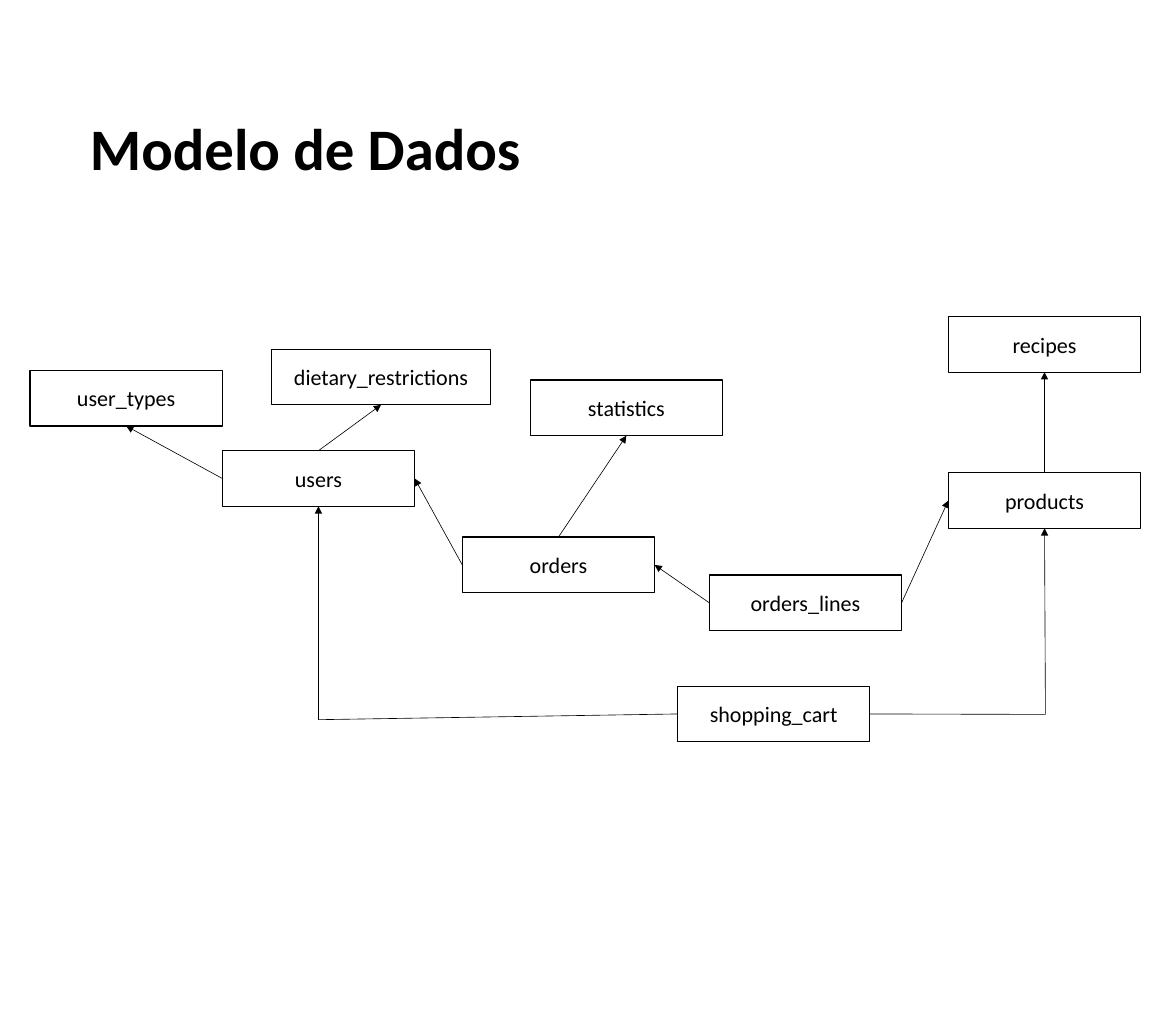
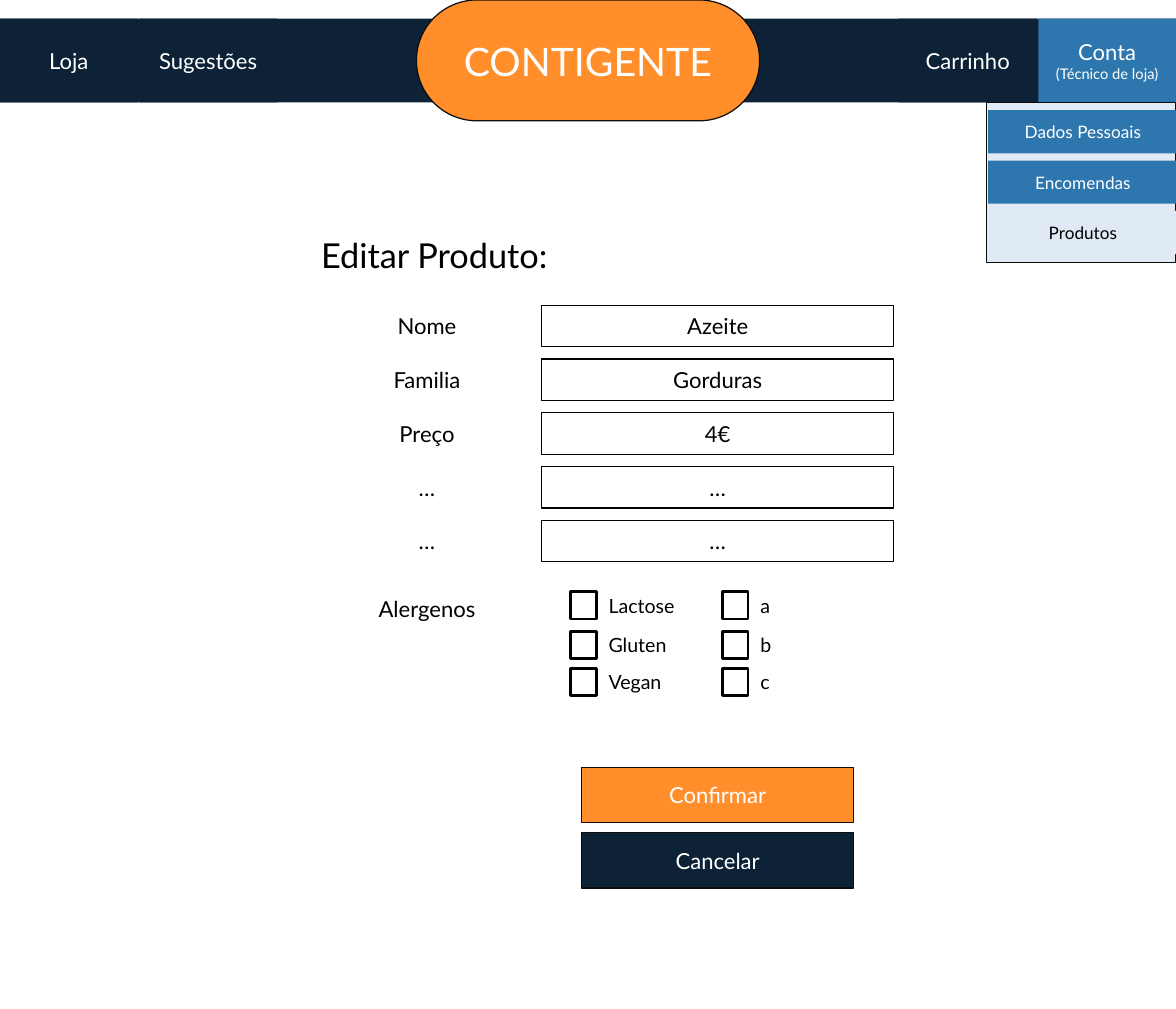
from pptx import Presentation
from pptx.dml.color import RGBColor
from pptx.enum.shapes import MSO_CONNECTOR, MSO_SHAPE
from pptx.enum.text import MSO_ANCHOR, MSO_AUTO_SIZE, PP_ALIGN
from pptx.oxml.ns import qn
from pptx.util import Inches, Pt
from lxml.etree import SubElement

# Shared colours and fonts
BLACK, WHITE, INK = "000000", "FFFFFF", "0D0D0D"
NAVY, ORANGE, BLUE, PALE = "0D2137", "FF8E2B", "2E77AE", "E0EAF5"
DIAGRAM_FONT, SCREEN_FONT = "Calibri", "Lato"
TOP, LEFT, BOTTOM, RIGHT = range(4)  # connection sites of a rectangle


def rgb(color):
    return RGBColor.from_string(color)


def style(p, font, size, color=BLACK, bold=False, align=PP_ALIGN.CENTER):
    p.alignment = align
    for r in p.runs:
        r.font.name, r.font.size, r.font.bold = font, Pt(size), bold
        r.font.color.rgb = rgb(color)


def add_title(slide, text, box, font, size, bold=False, anchor=MSO_ANCHOR.MIDDLE):
    sp = slide.shapes.title
    sp.left, sp.top, sp.width, sp.height = map(Inches, box)
    tf = sp.text_frame
    tf.text = text
    tf.auto_size, tf.vertical_anchor = MSO_AUTO_SIZE.NONE, anchor
    tf.paragraphs[0].line_spacing = 0.9 if bold else 1.0
    style(tf.paragraphs[0], font, size, bold=bold, align=PP_ALIGN.LEFT)


def add_box(slide, box, text="", fill=WHITE, line=None, width=1, font=SCREEN_FONT,
            size=18, color=BLACK, shape=MSO_SHAPE.RECTANGLE):
    sp = slide.shapes.add_shape(shape, *map(Inches, box))
    sp.shadow.inherit = False
    sp.fill.solid()
    sp.fill.fore_color.rgb = rgb(fill)
    if line:
        sp.line.color.rgb = rgb(line)
        sp.line.width = Pt(width)
    else:
        sp.line.fill.background()
    tf = sp.text_frame
    tf.word_wrap, tf.vertical_anchor = True, MSO_ANCHOR.MIDDLE
    if text:
        tf.text = text
        for p in tf.paragraphs:
            style(p, font, size, color)
    return sp


def add_label(slide, box, text, size):
    tf = slide.shapes.add_textbox(*map(Inches, box)).text_frame
    tf.word_wrap = True
    tf.text = text
    style(tf.paragraphs[0], SCREEN_FONT, size, align=PP_ALIGN.LEFT)


def add_link(slide, start, end, arrow=True):
    """Join two ends, each a (shape, site) pair or an (x, y) point in inches."""
    line = slide.shapes.add_connector(MSO_CONNECTOR.STRAIGHT, 0, 0, 0, 0)
    if isinstance(start[0], float):
        line.begin_x, line.begin_y = map(Inches, start)
    else:
        line.begin_connect(*start)
    if isinstance(end[0], float):
        line.end_x, line.end_y = map(Inches, end)
    else:
        line.end_connect(*end)
    line.line.color.rgb = rgb(BLACK)
    line.line.width = Pt(0.5)
    if arrow:
        SubElement(line.line._get_or_add_ln(), qn("a:tailEnd"), type="triangle")
    SubElement(line._element.spPr, qn("a:effectLst"))


# Data model diagram
def data_model(slide, left, top):
    width, height = 2.18, 0.63
    entities = {
        "user_types": (0, 0.61), "users": (2.18, 1.52), "products": (10.41, 1.77),
        "orders": (4.9, 2.5), "shopping_cart": (7.34, 4.19), "statistics": (5.67, 0.72),
        "orders_lines": (7.7, 2.93), "recipes": (10.41, 0),
        "dietary_restrictions": (2.74, 0.37),
    }
    tables = {}
    for name, (x, y) in entities.items():
        w = 2.48 if name == "dietary_restrictions" else width
        tables[name] = add_box(slide, (left + x, top + y, w, height), name,
                               line=BLACK, font=DIAGRAM_FONT)

    links = [
        ("users", LEFT, "user_types", BOTTOM),
        ("users", TOP, "dietary_restrictions", BOTTOM),
        ("orders", LEFT, "users", RIGHT),
        ("orders", TOP, "statistics", BOTTOM),
        ("orders_lines", LEFT, "orders", RIGHT),
        ("orders_lines", RIGHT, "products", LEFT),
        ("products", TOP, "recipes", BOTTOM),
    ]
    for source, out_site, target, in_site in links:
        add_link(slide, (tables[source], out_site), (tables[target], in_site))

    # The cart reaches its two tables round a corner
    for site, target, corner in [(LEFT, "users", (left + 3.27, top + 4.57)),
                                 (RIGHT, "products", (left + 11.51, top + 4.51))]:
        add_link(slide, (tables["shopping_cart"], site), corner, arrow=False)
        add_link(slide, corner, (tables[target], BOTTOM))


# Navigation bar with the shop name
def nav_bar(slide, left, top, width, height):
    add_box(slide, (left, top, width, height), fill=NAVY)
    pill_w, pill_h = 3.89, 1.37
    pill = add_box(slide, (left + (width - pill_w) / 2, top - 0.21, pill_w, pill_h),
                   "CONTIGENTE", ORANGE, INK, size=32, color=WHITE,
                   shape=MSO_SHAPE.ROUNDED_RECTANGLE)
    pill.adjustments[0] = 0.5
    item_w, pitch = 1.56, 1.58
    last = left + width - item_w
    for text, x, fill in [("Loja", left, NAVY), ("Sugestões", left + pitch, NAVY),
                          ("Carrinho", last - pitch, NAVY),
                          ("Conta\n(Técnico de loja)", last, BLUE)]:
        item = add_box(slide, (x, top, item_w, height), text, fill, color=WHITE)
        for p in item.text_frame.paragraphs[1:]:
            style(p, SCREEN_FONT, 12, WHITE)


# Drop-down menu of the account
def account_menu(slide, left, top, width, height):
    add_box(slide, (left, top, width, height), fill=PALE, line=INK)
    entries = [("Dados Pessoais", BLUE, WHITE), ("Encomendas", BLUE, WHITE),
               ("Produtos", PALE, BLACK)]
    for i, (text, fill, color) in enumerate(entries):
        add_box(slide, (left + 0.02, top + 0.09 + 0.57 * i, width, 0.49), text, fill,
                size=14, color=color)


# Product form: fields, allergens and buttons
def product_form(slide, left, top):
    label_w, field_w, row_h, pitch = 2.6, 3.99, 0.47, 0.61
    field_x = left + label_w
    rows = [("Nome", "Azeite"), ("Familia", "Gorduras"), ("Preço", "4€"),
            ("…", "…"), ("…", "…")]
    for i, (label, value) in enumerate(rows):
        y = top + pitch * i
        add_box(slide, (left, y, label_w, row_h), label)
        add_box(slide, (field_x, y, field_w, row_h), value, line=BLACK)

    add_box(slide, (left, top + 3.21, label_w, row_h), "Alergenos")
    columns = [(0.33, 1.36, ("Lactose", "Gluten", "Vegan")),
               (2.05, 2.57, ("a", "b", "c"))]
    for x, text_w, names in columns:
        for name, y in zip(names, (3.25, 3.7, 4.12)):
            add_box(slide, (field_x + x, top + y, 0.29, 0.31), line=BLACK, width=2.25)
            add_label(slide, (field_x + x + 0.33, top + y - 0.03, text_w, 0.37), name, 16)

    button_w = 3.08
    button_x = field_x + (field_w - button_w) / 2
    for i, (text, fill) in enumerate([("Confirmar", ORANGE), ("Cancelar", NAVY)]):
        add_box(slide, (button_x, top + 5.24 + 0.74 * i, button_w, 0.63), text, fill,
                INK, color=WHITE)


def main():
    prs = Presentation()
    prs.slide_width, prs.slide_height = Inches(13.33), Inches(11.44)
    title_only = prs.slide_layouts[5]

    s = prs.slides.add_slide(title_only)
    add_title(s, "Modelo de Dados", (0.92, 0.61, 11.5, 2.21), DIAGRAM_FONT, 48, bold=True)
    data_model(s, 0.34, 3.59)

    s = prs.slides.add_slide(title_only)
    add_title(s, "Editar Produto:", (3.54, 2.6, 6.26, 0.57), SCREEN_FONT, 28,
              anchor=MSO_ANCHOR.TOP)
    product_form(s, 3.54, 3.46)
    nav_bar(s, 0, 0.21, 13.33, 0.95)
    account_menu(s, 11.18, 1.16, 2.15, 1.82)

    prs.save("out.pptx")


if __name__ == "__main__":
    main()
